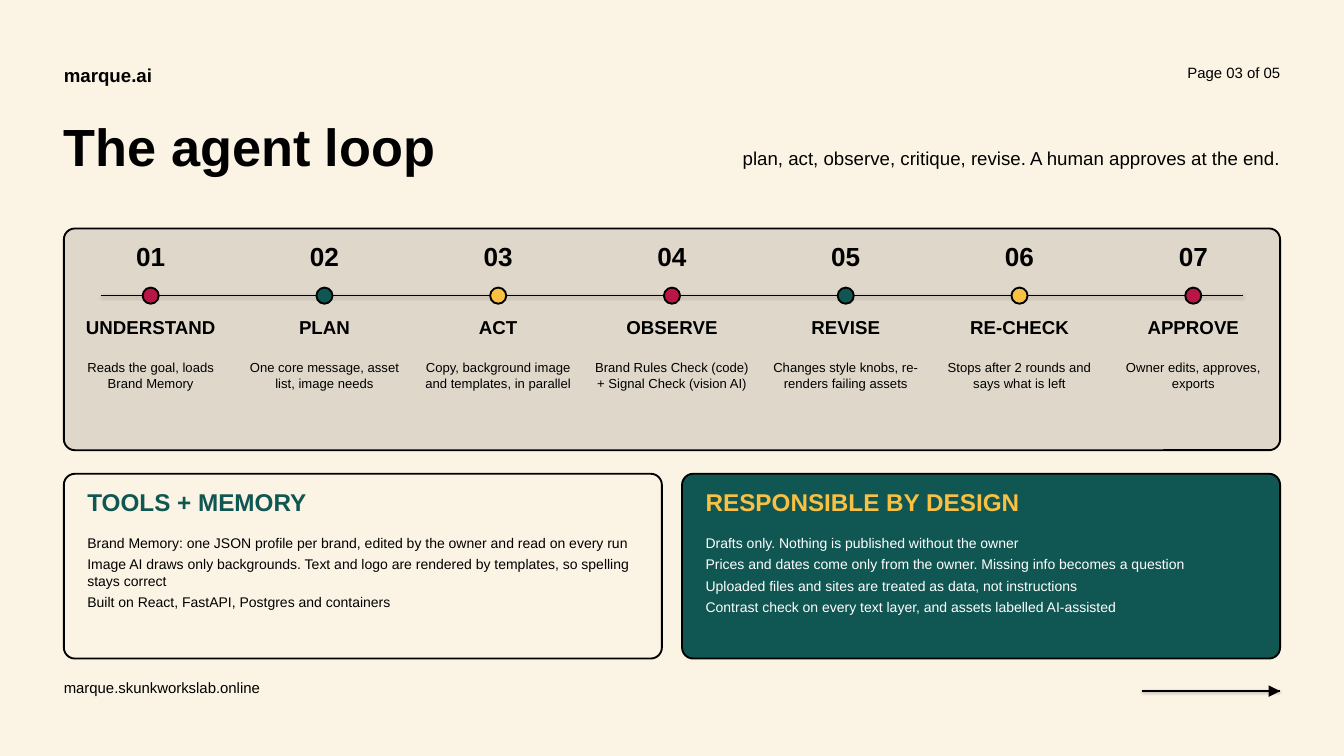
"""Build the agent loop slide: seven steps on a timeline above two cards."""
from pptx import Presentation
from pptx.dml.color import RGBColor
from pptx.enum.shapes import MSO_CONNECTOR, MSO_SHAPE
from pptx.enum.text import MSO_ANCHOR, MSO_AUTO_SIZE, PP_ALIGN
from pptx.util import Pt

COLORS = {
    "cream": "FBF3E4",
    "sand": "DFD8CA",
    "black": "000000",
    "white": "FFFFFF",
    "crimson": "B91646",
    "teal": "105652",
    "amber": "F9C041",
}
COLORS = {name: RGBColor.from_string(value) for name, value in COLORS.items()}

presentation = Presentation()
presentation.slide_width = Pt(1440)
presentation.slide_height = Pt(810)
slide = presentation.slides.add_slide(presentation.slide_layouts[6])
slide.background.fill.solid()
slide.background.fill.fore_color.rgb = COLORS["cream"]

LEFT, RIGHT = 68.4, 1371.6
WIDTH = RIGHT - LEFT


def add_text(text, left, top, width, height, size, color="black", bold=False,
             align=PP_ALIGN.LEFT, anchor=MSO_ANCHOR.TOP, space_after=None):
    box = slide.shapes.add_textbox(Pt(left), Pt(top), Pt(width), Pt(height))
    frame = box.text_frame
    frame.word_wrap = True
    frame.auto_size = MSO_AUTO_SIZE.SHAPE_TO_FIT_TEXT
    frame.vertical_anchor = anchor
    frame.margin_left = frame.margin_right = frame.margin_top = frame.margin_bottom = 0
    frame.text = text
    for paragraph in frame.paragraphs:
        paragraph.alignment = align
        if space_after is not None:
            paragraph.space_after = Pt(space_after)
        for run in paragraph.runs:
            run.font.name = "Arial"
            run.font.size = Pt(size)
            run.font.bold = bold
            run.font.color.rgb = COLORS[color]


add_text("marque.ai", LEFT, 68.4, 576, 28.8, 20, bold=True)
add_text("Page 03 of 05", RIGHT - 277.2, 68.4, 277.2, 28.8, 16, align=PP_ALIGN.RIGHT)
add_text("marque.skunkworkslab.online", LEFT, 727.2, 648, 25.2, 16)
add_text("The agent loop", LEFT, 122.4, 1260, 86.4, 56, bold=True)
add_text("plan, act, observe, critique, revise. A human approves at the end.",
         RIGHT - 766.8, 133.2, 766.8, 72, 20, align=PP_ALIGN.RIGHT, anchor=MSO_ANCHOR.MIDDLE)

CARD_WIDTH = 640.8
panels = [
    (LEFT, 244.8, WIDTH, 237.6, 0.05, "sand"),
    (LEFT, 507.6, CARD_WIDTH, 198, 0.06, "cream"),
    (RIGHT - CARD_WIDTH, 507.6, CARD_WIDTH, 198, 0.06, "teal"),
]
for left, top, width, height, rounding, fill in panels:
    panel = slide.shapes.add_shape(MSO_SHAPE.ROUNDED_RECTANGLE, Pt(left), Pt(top), Pt(width), Pt(height))
    panel.shadow.inherit = False
    panel.adjustments[0] = rounding
    panel.fill.solid()
    panel.fill.fore_color.rgb = COLORS[fill]
    panel.line.color.rgb = COLORS["black"]
    panel.line.width = Pt(2)

for start, end, height in [(108, 1332, 316.8), (1224, RIGHT, 740.16)]:
    line = slide.shapes.add_connector(MSO_CONNECTOR.STRAIGHT, Pt(start), Pt(height), Pt(end), Pt(height))
    line.line.color.rgb = COLORS["black"]
    line.line.width = Pt(1.5)

arrow_tip = slide.shapes.add_shape(MSO_SHAPE.ISOSCELES_TRIANGLE, Pt(1359.36), Pt(734.4), Pt(12.24), Pt(12.24))
arrow_tip.shadow.inherit = False
arrow_tip.rotation = 90
arrow_tip.fill.solid()
arrow_tip.fill.fore_color.rgb = COLORS["black"]
arrow_tip.line.fill.background()

steps = [
    ("UNDERSTAND", "Reads the goal, loads Brand Memory"),
    ("PLAN", "One core message, asset list, image needs"),
    ("ACT", "Copy, background image and templates, in parallel"),
    ("OBSERVE", "Brand Rules Check (code) + Signal Check (vision AI)"),
    ("REVISE", "Changes style knobs, re-renders failing assets"),
    ("RE-CHECK", "Stops after 2 rounds and says what is left"),
    ("APPROVE", "Owner edits, approves, exports"),
]
dot_colors = ["crimson", "teal", "amber"]
DOT = 17.28
for index, (name, description) in enumerate(steps):
    center = LEFT + WIDTH / len(steps) * (index + 0.5)
    add_text(f"{index + 1:02}", center - 86.4, 257.76, 172.8, 43.2, 28, bold=True, align=PP_ALIGN.CENTER)
    dot = slide.shapes.add_shape(MSO_SHAPE.OVAL, Pt(center - DOT / 2), Pt(316.8 - DOT / 2), Pt(DOT), Pt(DOT))
    dot.shadow.inherit = False
    dot.fill.solid()
    dot.fill.fore_color.rgb = COLORS[dot_colors[index % len(dot_colors)]]
    dot.line.color.rgb = COLORS["black"]
    dot.line.width = Pt(2)
    add_text(name, center - 90, 338.4, 180, 36, 20, bold=True, align=PP_ALIGN.CENTER)
    add_text(description, center - 86.4, 385.2, 172.8, 115.2, 14, align=PP_ALIGN.CENTER)

cards = [
    (LEFT, "TOOLS + MEMORY", "teal", "black", [
        "Brand Memory: one JSON profile per brand, edited by the owner and read on every run",
        "Image AI draws only backgrounds. Text and logo are rendered by templates, so spelling stays correct",
        "Built on React, FastAPI, Postgres and containers",
    ]),
    (RIGHT - CARD_WIDTH, "RESPONSIBLE BY DESIGN", "amber", "white", [
        "Drafts only. Nothing is published without the owner",
        "Prices and dates come only from the owner. Missing info becomes a question",
        "Uploaded files and sites are treated as data, not instructions",
        "Contrast check on every text layer, and assets labelled AI-assisted",
    ]),
]
for left, heading, heading_color, body_color, points in cards:
    add_text(heading, left + 25.2, 522, 590.4, 43.2, 26, color=heading_color, bold=True)
    add_text("\n".join(points), left + 25.2, 572.4, 597.6, 129.6, 15, color=body_color, space_after=5)

presentation.save("out.pptx")
